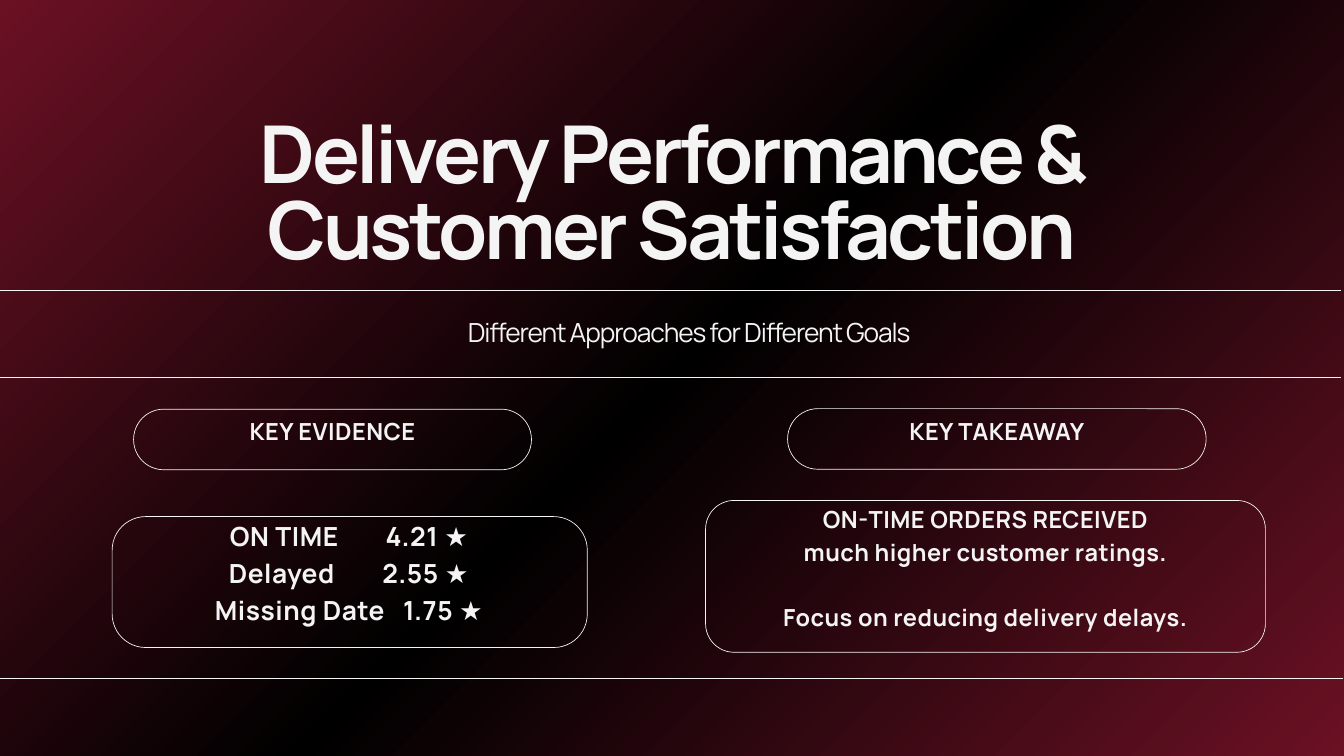
import lxml.etree
import pptx
import pptx.dml.color
import pptx.enum.shapes
import pptx.enum.text
import pptx.oxml
import pptx.oxml.ns
import pptx.util

Cm = pptx.util.Cm
Pt = pptx.util.Pt
qn = pptx.oxml.ns.qn
ALIGN = pptx.enum.text.PP_ALIGN
ANCHOR = pptx.enum.text.MSO_ANCHOR


def rgb(value):
    return pptx.dml.color.RGBColor.from_string(value)


class Deck:
    font = "Manrope"
    ink = "F4F4F4"
    line_width = 0.75

    def __init__(self, width, height):
        self.prs = pptx.Presentation()
        self.prs.slide_width, self.prs.slide_height = Cm(width), Cm(height)
        self.s = self.prs.slides.add_slide(self.prs.slide_layouts[5])

    def background(self, colors):
        self.s.background.fill.gradient()
        old = self.s.element.find(".//" + qn("a:gradFill"))
        step = 100000 // (len(colors) - 1)
        stops = "".join(
            f'<a:gs pos="{i * step}"><a:srgbClr val="{c}"/></a:gs>'
            for i, c in enumerate(colors)
        )
        grad = pptx.oxml.parse_xml(
            f'<a:gradFill {pptx.oxml.ns.nsdecls("a")} rotWithShape="1">'
            f'<a:gsLst>{stops}</a:gsLst><a:path path="circle">'
            '<a:fillToRect r="100000" b="100000"/></a:path></a:gradFill>'
        )
        old.getparent().replace(old, grad)

    def rule(self, x, y, length):
        sp = self.s.shapes.add_connector(
            pptx.enum.shapes.MSO_CONNECTOR.STRAIGHT, Cm(x), Cm(y), Cm(x + length), Cm(y)
        )
        self.outline(sp)
        lxml.etree.SubElement(sp.element.spPr, qn("a:effectLst"))

    def outline(self, sp):
        sp.line.color.rgb = rgb(self.ink)
        sp.line.width = Pt(self.line_width)

    def frame(self, x, y, w, h, radius):
        sp = self.s.shapes.add_shape(
            pptx.enum.shapes.MSO_SHAPE.ROUNDED_RECTANGLE, Cm(x), Cm(y), Cm(w), Cm(h)
        )
        sp.adjustments[0] = min(0.5, radius / h)
        sp.shadow.inherit = False
        sp.fill.background()
        self.outline(sp)

    def title(self, text, x, y, w, h, **style):
        sp = self.s.shapes.title
        sp.left, sp.top, sp.width, sp.height = Cm(x), Cm(y), Cm(w), Cm(h)
        self.fill_text(sp.text_frame, text, **style)

    def text(self, text, x, y, w, h, **style):
        sp = self.s.shapes.add_textbox(Cm(x), Cm(y), Cm(w), Cm(h))
        self.fill_text(sp.text_frame, text, **style)
        return sp.text_frame

    def fill_text(self, tf, text, size, leading, tracking, bold=True, anchor=ANCHOR.TOP, inset=0):
        tf.text = text
        tf.word_wrap = True
        tf.auto_size = pptx.enum.text.MSO_AUTO_SIZE.NONE
        tf.vertical_anchor = anchor
        tf.margin_left = tf.margin_right = tf.margin_top = tf.margin_bottom = Cm(inset)
        for p in tf.paragraphs:
            p.alignment = ALIGN.CENTER
            p.line_spacing = Pt(leading)
            p.space_before = p.space_after = Pt(0)
            for r in p.runs:
                r.font.name = self.font
                r.font.size = Pt(size)
                r.font.bold = bold
                r.font.color.rgb = rgb(self.ink)
                r._r.get_or_add_rPr().set("spc", str(round(tracking * 100)))

    def card(self, text, x, y, w, h, radius, lift, **style):
        self.frame(x, y, w, h, radius)
        return self.text(
            text, x, y - lift, w, h + lift, anchor=ANCHOR.MIDDLE, inset=0.15, **style
        )

    def tabs(self, p, stops):
        p.alignment = ALIGN.LEFT
        tabs = lxml.etree.SubElement(p._p.get_or_add_pPr(), qn("a:tabLst"))
        for stop in stops:
            lxml.etree.SubElement(tabs, qn("a:tab"), pos=str(Cm(stop)), algn="l")


def main():
    deck = Deck(50.8, 28.58)
    deck.background(["6B1124", "000000", "6B1124"])
    for x, y in ((-0.13, 10.97), (-0.13, 14.27), (-0.05, 25.63)):
        deck.rule(x, y, 50.8)

    label = dict(size=25.2, leading=35.3, tracking=0.5)
    figures = dict(size=28.2, leading=39.5, tracking=0.6)

    deck.card("KEY EVIDENCE", 5.05, 15.47, 15.04, 2.29, 1.14, 0.8, **label)
    deck.card("KEY TAKEAWAY", 29.77, 15.45, 15.82, 2.29, 1.14, 0.8, **label)

    ratings = (
        ("ON TIME", "4.21 ★", (4.3, 10.19)),
        ("Delayed", "2.55 ★", (4.26, 10.06)),
        ("Missing Date", "1.75 ★", (3.73, 10.85)),
    )
    tf = deck.card(
        "\n".join(f"\t{name}\t{score}" for name, score, stops in ratings),
        4.24, 19.53, 17.96, 4.95, 1.27, 0.89, **figures,
    )
    for p, (name, score, stops) in zip(tf.paragraphs, ratings):
        deck.tabs(p, stops)

    tf = deck.card(
        "ON-TIME ORDERS RECEIVED\nmuch higher customer ratings.\n"
        "Focus on reducing delivery delays.",
        26.67, 18.92, 21.16, 5.74, 1.08, 0.8, **label,
    )
    tf.paragraphs[-1].space_before = Pt(label["leading"])

    deck.title(
        "Delivery Performance & Customer Satisfaction",
        5.51, 4.67, 39.78, 6.15, size=85.5, leading=81.2, tracking=-3.6,
    )
    deck.text(
        "Different Approaches for Different Goals",
        14.22, 11.76, 23.65, 1.42, size=28.2, leading=39.5, tracking=-1.2, bold=False,
    )
    deck.prs.save("out.pptx")


if __name__ == "__main__":
    main()
